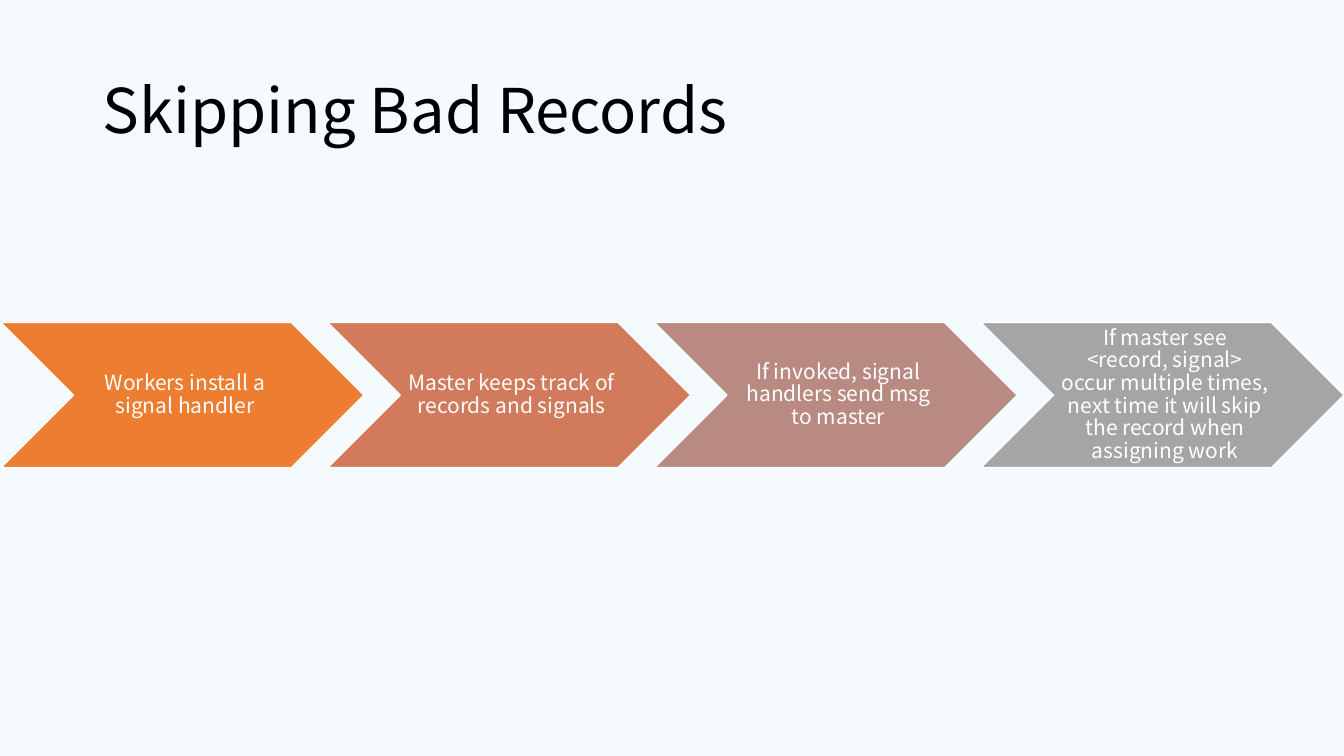
import pptx
import pptx.util
from pptx.dml.color import RGBColor
from pptx.enum.shapes import MSO_SHAPE
from pptx.enum.text import MSO_ANCHOR, PP_ALIGN

PX = 9144  # EMU per px, 100 px to the inch
FONT = "Noto Sans CJK SC"
BACKGROUND = RGBColor(0xF5, 0xFA, 0xFF)
BLACK = RGBColor(0x00, 0x00, 0x00)
WHITE = RGBColor(0xFF, 0xFF, 0xFF)

STEPS = [
    ("Workers install a signal handler", RGBColor(0xED, 0x7D, 0x31)),
    ("Master keeps track of records and signals", RGBColor(0xD1, 0x7B, 0x5C)),
    ("If invoked, signal handlers send msg to master", RGBColor(0xB9, 0x8A, 0x82)),
    ("If master see <record, signal> occur multiple times, next time it will "
     "skip the record when assigning work", RGBColor(0xA5, 0xA5, 0xA5)),
]
STEP_LEFT, STEP_TOP, STEP_WIDTH, STEP_HEIGHT = 1, 320, 360, 144
STEP_PITCH = 324


def place(shape, left, top, width, height):
    shape.left, shape.top = left * PX, top * PX
    shape.width, shape.height = width * PX, height * PX


def write(shape, text, size, color, alignment):
    frame = shape.text_frame
    frame.text = text
    frame.word_wrap = True
    frame.vertical_anchor = MSO_ANCHOR.MIDDLE
    paragraph = frame.paragraphs[0]
    paragraph.alignment = alignment
    paragraph.line_spacing = 0.9
    font = paragraph.runs[0].font
    font.name = FONT
    font.size = pptx.util.Pt(size)
    font.color.rgb = color


presentation = pptx.Presentation()
presentation.slide_width = 1333 * PX
presentation.slide_height = 750 * PX
slide = presentation.slides.add_slide(presentation.slide_layouts.get_by_name("Title Only"))
slide.background.fill.solid()
slide.background.fill.fore_color.rgb = BACKGROUND

title = slide.shapes.title
place(title, 92, 40, 1150, 145)
write(title, "Skipping Bad Records", 44, BLACK, PP_ALIGN.LEFT)

process = slide.shapes.add_group_shape()
for index, (text, color) in enumerate(STEPS):
    step = process.shapes.add_shape(MSO_SHAPE.CHEVRON, 0, 0, 0, 0)
    place(step, STEP_LEFT + index * STEP_PITCH, STEP_TOP, STEP_WIDTH, STEP_HEIGHT)
    step.shadow.inherit = False
    step.fill.solid()
    step.fill.fore_color.rgb = color
    step.line.color.rgb = WHITE
    step.line.width = pptx.util.Pt(1)
    frame = step.text_frame
    frame.margin_left = 7 * PX
    frame.margin_top = frame.margin_right = frame.margin_bottom = 2 * PX
    write(step, text, 15, WHITE, PP_ALIGN.CENTER)

# The group frame spans the whole row of steps.
row_width = STEP_PITCH * (len(STEPS) - 1) + STEP_WIDTH
transform = process._element.grpSpPr.get_or_add_xfrm()
for offset in (transform.off, transform.chOff):
    offset.x, offset.y = STEP_LEFT * PX, STEP_TOP * PX
for extent in (transform.ext, transform.chExt):
    extent.cx, extent.cy = row_width * PX, STEP_HEIGHT * PX

presentation.save("out.pptx")
